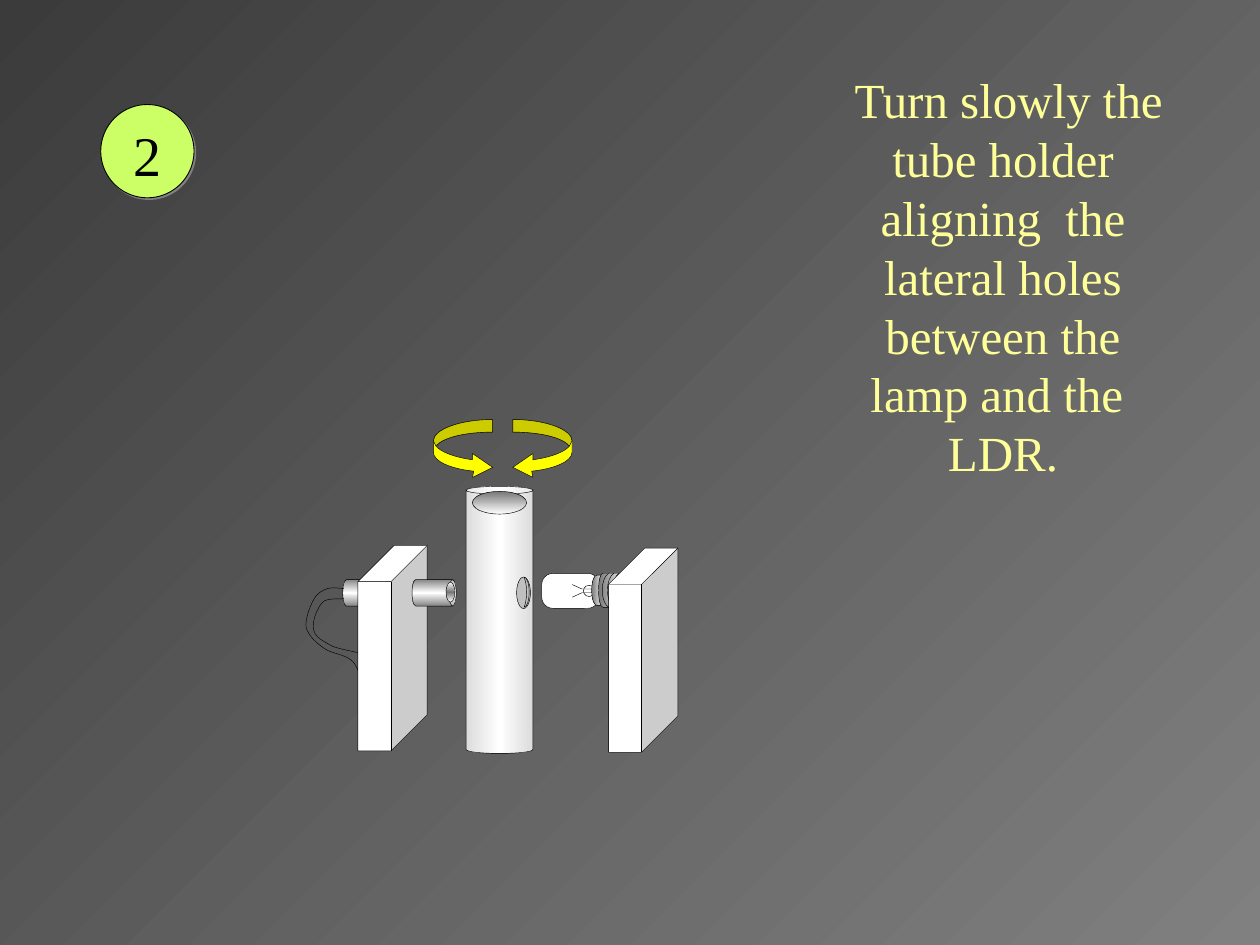
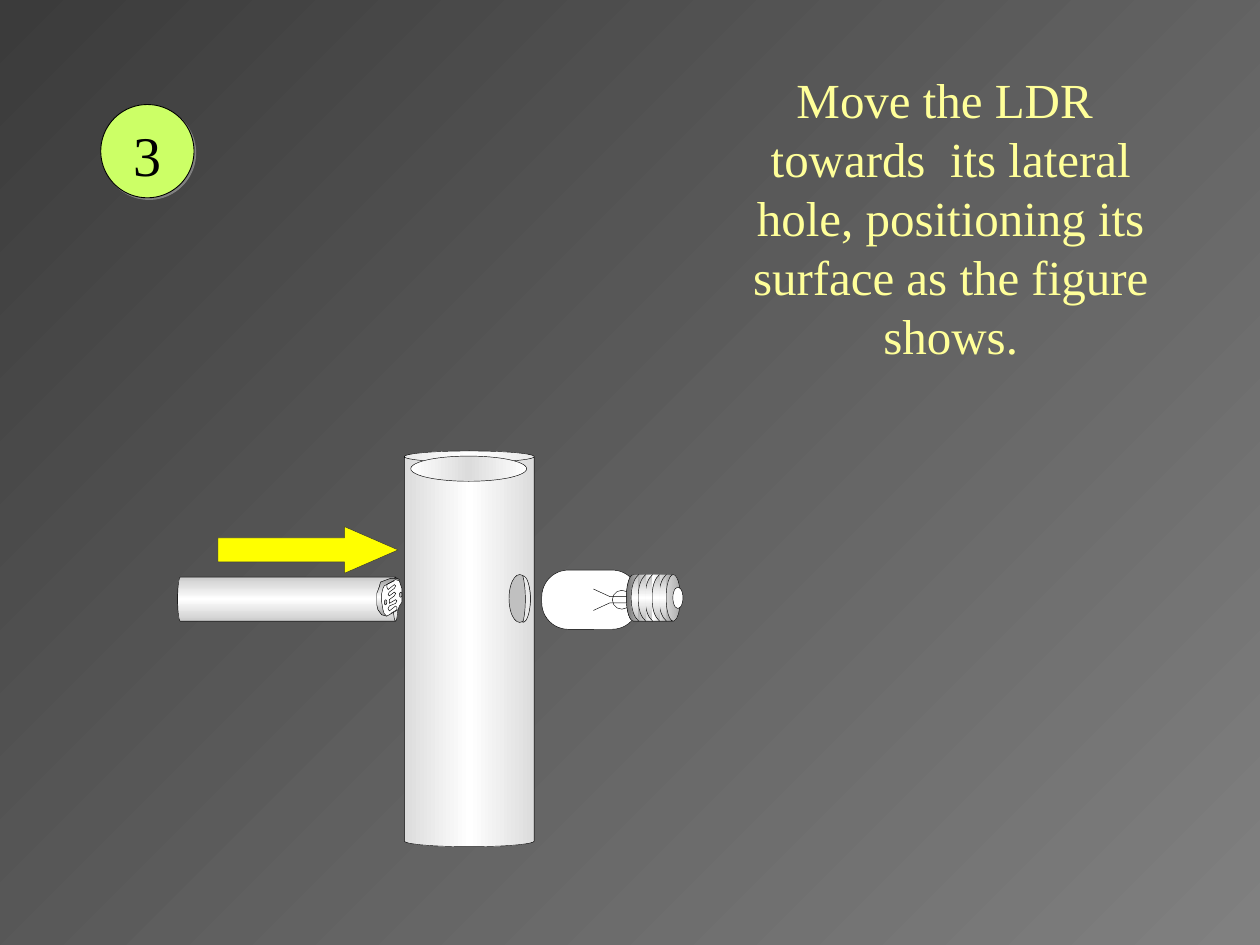
from lxml import etree
from pptx import Presentation
from pptx.dml.color import RGBColor
from pptx.enum import shapes, text
from pptx.oxml.ns import qn
from pptx.util import Inches, Pt

FONT = "Times New Roman"
BLACK, WHITE, SILVER, YELLOW = "000000", "FFFFFF", "C0C0C0", "FFFF00"
CREAM, LIME = "FFFF99", "CCFF66"
# A gradient is its colours, evenly spaced, followed by its angle.
BACKDROP = ("3B3B3B", "808080", 45)
TUBE = ("DCDCDC", WHITE, "DCDCDC", 0)
METAL = ("767676", WHITE, "767676", 0)
THREAD = ("BCBCBC", WHITE, "BCBCBC", 90)
SENSOR = ("858585", WHITE, "858585", 90)
KIND = shapes.MSO_SHAPE


def color(value):
    return RGBColor.from_string(value)


def set_gradient(fill, owner, gradient):
    """Fill with evenly spaced stops that ignore the rotation of the shape."""
    *colors, angle = gradient
    fill.gradient()
    element = next(owner.iter(qn("a:gradFill")))
    element.set("rotWithShape", "0")
    element.find(qn("a:lin")).set("ang", str(angle * 60000))
    stops = element.find(qn("a:gsLst"))
    for stop in list(stops):
        stops.remove(stop)
    for index, value in enumerate(colors):
        position = 100000 * index // (len(colors) - 1)
        stop = etree.SubElement(stops, qn("a:gs"), pos=str(position))
        etree.SubElement(stop, qn("a:srgbClr"), val=value)


def style(shape, fill, line=BLACK, width=0.25):
    shape.shadow.inherit = False
    if fill is None:
        shape.fill.background()
    elif isinstance(fill, tuple):
        set_gradient(shape.fill, shape._element, fill)
    else:
        shape.fill.solid()
        shape.fill.fore_color.rgb = color(fill)
    shape.line.color.rgb = color(line)
    shape.line.width = Pt(width)
    return shape


def add_preset(slide, kind, box, fill, adjustments=(), rotation=0, line=BLACK, width=0.25):
    shape = slide.shapes.add_shape(kind, *map(Inches, box))
    for index, value in enumerate(adjustments):
        shape.adjustments[index] = value
    shape.rotation = rotation
    return style(shape, fill, line, width)


def fill_path(path, parts, left, top, close):
    """Write the path anew: pairs become lines, six numbers a cubic curve."""
    for child in list(path):
        path.remove(child)
    for index, part in enumerate(parts):
        tag = "a:moveTo" if index == 0 else "a:lnTo" if len(part) == 2 else "a:cubicBezTo"
        command = etree.SubElement(path, qn(tag))
        for x, y in zip(part[::2], part[1::2]):
            etree.SubElement(command, qn("a:pt"), x=str(Inches(x) - left), y=str(Inches(y) - top))
    if close:
        etree.SubElement(path, qn("a:close"))


def add_outline(slide, parts, fill=None, close=False, shade=None):
    """Draw an outline and, if given, a darker area (shade) within the same shape."""
    ends = [(Inches(part[-2]), Inches(part[-1])) for part in parts]
    builder = slide.shapes.build_freeform(*ends[0])
    builder.add_line_segments(ends[1:], close=close)
    shape = builder.convert_to_shape()
    path = next(shape._element.iter(qn("a:path")))
    fill_path(path, parts, shape.left, shape.top, close)
    if shade:
        dark = etree.SubElement(path.getparent(), qn("a:path"), w=path.get("w"),
                                h=path.get("h"), fill="darkenLess")
        fill_path(dark, shade, shape.left, shape.top, close)
    return style(shape, fill)


def write(shape, words, size, value, margins):
    """Write one centred run; margins are the side and the top, in points."""
    frame = shape.text_frame
    frame.word_wrap = True
    frame.vertical_anchor = text.MSO_ANCHOR.TOP
    frame.margin_left = frame.margin_right = Pt(margins[0])
    frame.margin_top = frame.margin_bottom = Pt(margins[1])
    paragraph = frame.paragraphs[0]
    paragraph.alignment = text.PP_ALIGN.CENTER
    paragraph.line_spacing = Pt(size * 1.2)
    run = paragraph.add_run()
    run.text = words
    run.font.name = FONT
    run.font.size = Pt(size)
    run.font.color.rgb = color(value)


def add_step_number(slide, number):
    badge = add_preset(slide, KIND.OVAL, (0.8, 0.83, 0.74, 0.74), LIME, width=0.5)
    write(badge, str(number), 32, BLACK, (1.4, 1.2))
    effects = badge._element.spPr.find(qn("a:effectLst"))
    shadow = etree.SubElement(effects, qn("a:outerShdw"), dist=str(Pt(1.4)),
                              dir=str(45 * 60000), algn="ctr", rotWithShape="0")
    etree.SubElement(shadow, qn("a:srgbClr"), val="808080")


def add_instruction(slide, words, left, width, height):
    box = slide.shapes.add_textbox(Inches(left), Inches(0.5), Inches(width), Inches(height))
    write(box, words, 28, CREAM, (7.2, 4))


def add_bulb(slide, left, middle, scale, corner):
    """Glass and filament; scale 1 is a glass 0.77 inches long."""
    def place(x, y):
        return left + x * scale, middle + y * scale

    add_preset(slide, KIND.ROUNDED_RECTANGLE,
               (*place(0, -0.235), 0.77 * scale, 0.47 * scale), WHITE, [corner])
    add_preset(slide, KIND.OVAL, (*place(0.56, -0.075), 0.15 * scale, 0.15 * scale), WHITE)
    for side in (1, -1):
        wire = [(0.76, 0.025 * side), (0.54, 0.025 * side), (0.41, 0.085 * side)]
        add_outline(slide, [place(*point) for point in wire])


def add_threads(slide, first, last, count, top, height, depth, fill=None):
    """Evenly spaced screw threads from right to left, each bulging to the left."""
    bottom, middle = top + height, top + height / 2
    for index in range(count):
        x = first + (last - first) * index / (count - 1)
        add_outline(slide, [
            (x, bottom),
            (x - depth * 0.6, bottom - height * 0.08, x - depth, middle + height * 0.25,
             x - depth, middle),
            (x - depth, middle - height * 0.25, x - depth * 0.6, top + height * 0.08, x, top),
        ], fill)


def add_turn_arrow(slide, mirror=None):
    """Curved arrow; mirror is the x of the axis to reflect it on."""
    def place(parts):
        if mirror is None:
            return parts
        return [tuple(value if index % 2 else 2 * mirror - value
                      for index, value in enumerate(part)) for part in parts]

    inner_edge = [(3.46, 3.54), (3.52, 3.47, 3.7, 3.43, 3.91, 3.43)]
    back = [(3.91, 3.33), (3.65, 3.33, 3.44, 3.41, 3.44, 3.5)]
    front = [(3.44, 3.59), (3.44, 3.66, 3.57, 3.72, 3.76, 3.74), (3.75, 3.79), (3.91, 3.71),
             (3.75, 3.6), (3.75, 3.65), (3.61, 3.63, 3.5, 3.59, 3.46, 3.54)]
    add_outline(slide, place(back + front + inner_edge), YELLOW, True,
                shade=place(back + inner_edge))


def add_holder(slide, tube, rim, mouth, mouth_fill, hole):
    """Upright tube with an open mouth and a side hole."""
    add_preset(slide, KIND.CAN, tube, TUBE, [rim])
    add_preset(slide, KIND.OVAL, mouth, mouth_fill)
    add_preset(slide, KIND.OVAL, hole, SILVER)


def add_hole_edge(slide, left, top, height, inner, outer, fill):
    middle, bottom = top + height / 2, top + height
    add_outline(slide, [
        (left, top),
        (left + inner / 2, top + height * 0.12, left + inner, top + height * 0.25,
         left + inner, middle),
        (left + inner, bottom - height * 0.25, left + inner / 2, bottom - height * 0.1,
         left, bottom),
        (left + outer * 0.6, bottom, left + outer, bottom - height * 0.25, left + outer, middle),
        (left + outer, top + height * 0.25, left + outer * 0.6, top, left, top),
    ], fill, close=True)


def add_block(slide, left, top, height):
    add_preset(slide, KIND.CUBE, (left, top, 0.55, height), WHITE, [0.522])


def add_sensor_barrel(slide, left):
    add_preset(slide, KIND.CAN, (left, 4.53, 0.21, 0.35), SENSOR, [0.273], 90)


def add_sensor_wires(slide):
    add_outline(slide, [
        (2.73, 4.75), (2.7, 4.76, 2.6, 4.74, 2.56, 4.78), (2.52, 4.82, 2.47, 4.94, 2.49, 5),
        (2.5, 5.06, 2.57, 5.09, 2.64, 5.13), (2.72, 5.16, 2.87, 5.18, 2.91, 5.2),
        (2.95, 5.23, 2.89, 5.28, 2.89, 5.3)])
    add_outline(slide, [
        (2.73, 4.67), (2.71, 4.67, 2.64, 4.66, 2.6, 4.67), (2.56, 4.69, 2.52, 4.7, 2.49, 4.76),
        (2.46, 4.81, 2.42, 4.92, 2.43, 4.98), (2.45, 5.05, 2.52, 5.11, 2.58, 5.15),
        (2.64, 5.19, 2.74, 5.19, 2.8, 5.25), (2.85, 5.3, 2.87, 5.42, 2.89, 5.46)])


def add_sensor_face(slide):
    """Front of the LDR with its two contacts and the winding track."""
    add_outline(slide, [
        (3.17, 4.6), (3.15, 4.59), (3.1, 4.59), (3.02, 4.62), (3.01, 4.66), (2.99, 4.71),
        (2.99, 4.8), (3, 4.84), (3.03, 4.88), (3.07, 4.89)], ("9D9D9D", WHITE, "9D9D9D", 90))
    add_outline(slide, [
        (3.05, 4.65), (3.04, 4.67), (3.03, 4.71), (3.03, 4.78), (3.04, 4.84), (3.05, 4.87),
        (3.07, 4.89), (3.16, 4.84), (3.17, 4.81), (3.19, 4.78), (3.19, 4.67), (3.18, 4.64),
        (3.17, 4.61), (3.14, 4.6)], WHITE, close=True)
    for left, top in ((3.17, 4.7), (3.05, 4.76)):
        add_preset(slide, KIND.OVAL, (left, top, 0.02, 0.04), SILVER, rotation=3.2)
    add_outline(slide, [
        (3.13, 4.61), (3.07, 4.64), (3.07, 4.66), (3.08, 4.68), (3.13, 4.64), (3.14, 4.65),
        (3.13, 4.67), (3.09, 4.7), (3.08, 4.72), (3.09, 4.73), (3.13, 4.7), (3.14, 4.71),
        (3.13, 4.73), (3.09, 4.76), (3.09, 4.79), (3.14, 4.76), (3.15, 4.77), (3.14, 4.79),
        (3.09, 4.81), (3.08, 4.83), (3.09, 4.85), (3.14, 4.81), (3.15, 4.82), (3.15, 4.84),
        (3.1, 4.87)])


def build_turn_slide(slide):
    add_step_number(slide, 2)
    add_turn_arrow(slide)
    add_turn_arrow(slide, mirror=3.99)
    add_bulb(slide, 4.3, 4.69, 0.59, 0.32)
    add_preset(slide, KIND.CAN, (4.67, 4.59, 0.24, 0.19), METAL, [0.461], 90)
    add_preset(slide, KIND.CAN, (4.84, 4.46, 0.27, 0.45), METAL, [0.256], 90)
    add_threads(slide, 5.12, 4.83, 8, 4.55, 0.27, 0.05)
    add_block(slide, 4.83, 4.35, 1.62)
    add_sensor_barrel(slide, 2.79)
    add_sensor_wires(slide)
    add_block(slide, 2.84, 4.33, 1.63)
    add_sensor_barrel(slide, 3.34)
    add_preset(slide, KIND.OVAL, (3.54, 4.62, 0.07, 0.16), (WHITE, "767676", WHITE, 90))
    add_holder(slide, (3.7, 3.86, 0.53, 2.12), 0.116, (3.75, 3.9, 0.43, 0.18),
               ("767676", WHITE, 90), (4.1, 4.58, 0.11, 0.25))
    add_hole_edge(slide, 4.16, 4.58, 0.24, 0.02, 0.04, SILVER)
    add_instruction(slide, " Turn slowly the tube holder aligning  the lateral holes "
                    "between the lamp and the  LDR.", 6.5, 2.92, 3.37)


def build_move_slide(slide):
    add_preset(slide, KIND.CAN, (2.11, 3.88, 0.35, 1.75), ("CCCCCC", WHITE, "CCCCCC", 90),
               [0.119], 90)
    add_sensor_face(slide)
    add_preset(slide, KIND.RIGHT_ARROW, (1.73, 4.18, 1.43, 0.37), YELLOW, [0.511, 1.149],
               line="333333")
    add_bulb(slide, 4.3, 4.76, 1, 0.45)
    add_preset(slide, KIND.CAN, (5, 4.53, 0.37, 0.43), METAL, [0.307], 90)
    add_threads(slide, 5.29, 5.07, 5, 4.56, 0.37, 0.06, THREAD)
    add_preset(slide, KIND.OVAL, (5.34, 4.66, 0.08, 0.17), WHITE)
    add_holder(slide, (3.21, 3.58, 1.03, 3.14), 0.087, (3.26, 3.62, 0.92, 0.2),
               (WHITE, "DCDCDC", WHITE, 0), (4.04, 4.56, 0.17, 0.38))
    add_hole_edge(slide, 4.15, 4.57, 0.37, 0.02, 0.06, "EAEAEA")
    add_instruction(slide, "Move the LDR  towards  its lateral hole, positioning its "
                    "surface as the figure shows.", 5.67, 3.75, 2.44)
    add_step_number(slide, 3)


def main():
    presentation = Presentation()
    presentation.slide_width, presentation.slide_height = Inches(10), Inches(7.5)
    master = presentation.slide_master
    set_gradient(master.background.fill, master._element, BACKDROP)
    blank = presentation.slide_layouts[6]
    for build in (build_turn_slide, build_move_slide):
        build(presentation.slides.add_slide(blank))
    presentation.save("out.pptx")


if __name__ == "__main__":
    main()
